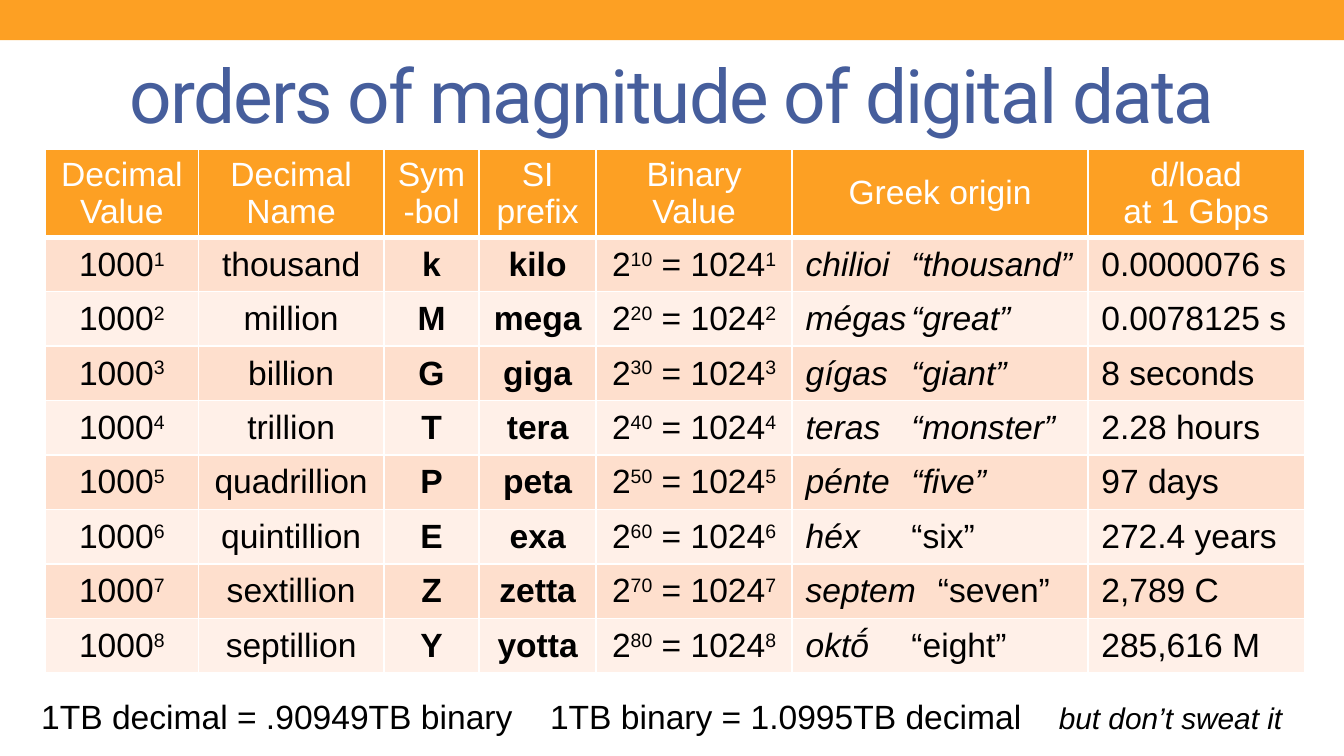
from lxml.etree import SubElement
from pptx import Presentation
from pptx.dml.color import RGBColor
from pptx.enum.shapes import MSO_SHAPE
from pptx.enum.text import MSO_ANCHOR, MSO_AUTO_SIZE, PP_ALIGN
from pptx.oxml.ns import qn
from pptx.util import Pt

ORANGE = RGBColor(0xFD, 0xA0, 0x23)
BLUE = RGBColor(0x46, 0x5E, 0x9C)
PEACH = RGBColor(0xFE, 0xDF, 0xCD)
PALE_PEACH = RGBColor(0xFF, 0xF0, 0xE8)
WHITE = RGBColor(0xFF, 0xFF, 0xFF)
BLACK = RGBColor(0, 0, 0)

COLUMN_WIDTHS = [82, 99.4, 51.1, 62.6, 105.1, 158.4, 116]
HEADER_HEIGHT, ROW_HEIGHT = 47.2, 29.17
GREEK_TABS = [56.7, 70.9]
FOOTER_TABS = [272.6, 545.2]

HEADINGS = ["Decimal\nValue", "Decimal\nName", "Sym\n-bol", "SI prefix",
            "Binary\nValue", "Greek origin", "d/load\nat 1 Gbps"]
# Decimal name, symbol, prefix, Greek word, meaning, meaning in italics, download time
MAGNITUDES = [
    ("thousand", "k", "kilo", "chilioi", "“thousand”", True, "0.0000076 s"),
    ("million", "M", "mega", "mégas", "“great”", True, "0.0078125 s"),
    ("billion", "G", "giga", "gígas", "“giant”", True, "8 seconds"),
    ("trillion", "T", "tera", "teras", "“monster”", True, "2.28 hours"),
    ("quadrillion", "P", "peta", "pénte", "“five”", True, "97 days"),
    ("quintillion", "E", "exa", "héx", "“six”", False, "272.4 years"),
    ("sextillion", "Z", "zetta", "septem", "“seven”", False, "2,789 C"),
    ("septillion", "Y", "yotta", "oktṓ", "“eight”", False, "285,616 M"),
]


def add_run(paragraph, text, color=BLACK, size=18, name="Arial",
            bold=False, italic=False, superscript=False):
    run = paragraph.add_run()
    run.text = text
    font = run.font
    font.name, font.size = name, Pt(size)
    font.bold, font.italic = bold, italic
    font.color.rgb = color
    if superscript:
        run._r.get_or_add_rPr().set("baseline", "30000")
    return run


def add_tabs(paragraph, positions):
    tab_list = SubElement(paragraph._p.get_or_add_pPr(), qn("a:tabLst"))
    for position in positions:
        SubElement(tab_list, qn("a:tab"), pos=str(Pt(position)), algn="l")


def set_borders(cell, bottom_width):
    properties = cell._tc.get_or_add_tcPr()
    for side, width in (("L", 1), ("R", 1), ("T", 1), ("B", bottom_width)):
        line = SubElement(properties, qn(f"a:ln{side}"), w=str(Pt(width)))
        fill = SubElement(line, qn("a:solidFill"))
        SubElement(fill, qn("a:srgbClr"), val=str(WHITE))


def format_cell(cell, color, centered=True, bottom_width=1):
    """Style a table cell and return its paragraph."""
    set_borders(cell, bottom_width)
    cell.fill.solid()
    cell.fill.fore_color.rgb = color
    cell.vertical_anchor = MSO_ANCHOR.MIDDLE
    cell.margin_left = cell.margin_right = Pt(4 if centered else 7.2)
    cell.margin_top = cell.margin_bottom = Pt(2)
    paragraph = cell.text_frame.paragraphs[0]
    paragraph.alignment = PP_ALIGN.CENTER if centered else PP_ALIGN.LEFT
    return paragraph


def add_band(slide, left, top, width, height):
    band = slide.shapes.add_shape(MSO_SHAPE.RECTANGLE, Pt(left), Pt(top), Pt(width), Pt(height))
    band.shadow.inherit = False
    band.fill.solid()
    band.fill.fore_color.rgb = ORANGE
    band.line.fill.background()


def set_title(slide, left, top, width, height):
    title = slide.shapes.title
    title.left, title.top, title.width, title.height = Pt(left), Pt(top), Pt(width), Pt(height)
    frame = title.text_frame
    frame.auto_size = MSO_AUTO_SIZE.NONE
    frame.vertical_anchor = MSO_ANCHOR.MIDDLE
    paragraph = frame.paragraphs[0]
    paragraph.alignment = PP_ALIGN.CENTER
    run = add_run(paragraph, "orders of magnitude of digital data", BLUE, 40, "Roboto")
    run._r.get_or_add_rPr().set("spc", "-100")


def fill_magnitude_row(cells, power, magnitude, color):
    name, symbol, prefix, greek, meaning, meaning_italic, download = magnitude
    decimal, name_cell, symbol_cell, prefix_cell, binary, origin, time = [
        format_cell(cell, color, centered=column < 5) for column, cell in enumerate(cells)]
    add_run(decimal, "1000")
    add_run(decimal, str(power), superscript=True)
    add_run(name_cell, name)
    add_run(symbol_cell, symbol, bold=True)
    add_run(prefix_cell, prefix, bold=True)
    add_run(binary, "2")
    add_run(binary, str(power * 10), superscript=True)
    add_run(binary, " = 1024")
    add_run(binary, str(power), superscript=True)
    add_tabs(origin, GREEK_TABS)
    add_run(origin, greek + "\t", italic=True)
    add_run(origin, meaning, italic=meaning_italic)
    add_run(time, download)


def add_magnitude_table(slide, left, top, width, height):
    table = slide.shapes.add_table(len(MAGNITUDES) + 1, len(HEADINGS),
                                   Pt(left), Pt(top), Pt(width), Pt(height)).table
    for column, column_width in zip(table.columns, COLUMN_WIDTHS):
        column.width = Pt(column_width)
    for index, row in enumerate(table.rows):
        row.height = Pt(ROW_HEIGHT if index else HEADER_HEIGHT)

    # Header row
    for cell, heading in zip(table.rows[0].cells, HEADINGS):
        paragraph = format_cell(cell, ORANGE, bottom_width=3)
        for index, line in enumerate(heading.split("\n")):
            if index:
                paragraph.add_line_break()
            add_run(paragraph, line, WHITE)

    # One row for each power of a thousand
    for power, magnitude in enumerate(MAGNITUDES, 1):
        color = PEACH if power % 2 else PALE_PEACH
        fill_magnitude_row(table.rows[power].cells, power, magnitude, color)


def add_footer(slide, left, top, width, height):
    box = slide.shapes.add_textbox(Pt(left), Pt(top), Pt(width), Pt(height))
    box.text_frame.word_wrap = True
    paragraph = box.text_frame.paragraphs[0]
    add_tabs(paragraph, FOOTER_TABS)
    add_run(paragraph, "1TB decimal = .90949TB binary\t1TB binary = 1.0995TB decimal\t")
    add_run(paragraph, "but don’t sweat it", size=16, italic=True)


def main():
    presentation = Presentation()
    presentation.slide_width, presentation.slide_height = Pt(720), Pt(405)
    slide = presentation.slides.add_slide(presentation.slide_layouts[5])
    add_band(slide, 0, 0, 720, 21.6)
    set_title(slide, 36, 21, 648, 58)
    add_magnitude_table(slide, 24.3, 79.9, sum(COLUMN_WIDTHS),
                        HEADER_HEIGHT + ROW_HEIGHT * len(MAGNITUDES))
    add_footer(slide, 15, 369.5, 690, 29)
    presentation.save("out.pptx")


if __name__ == "__main__":
    main()
